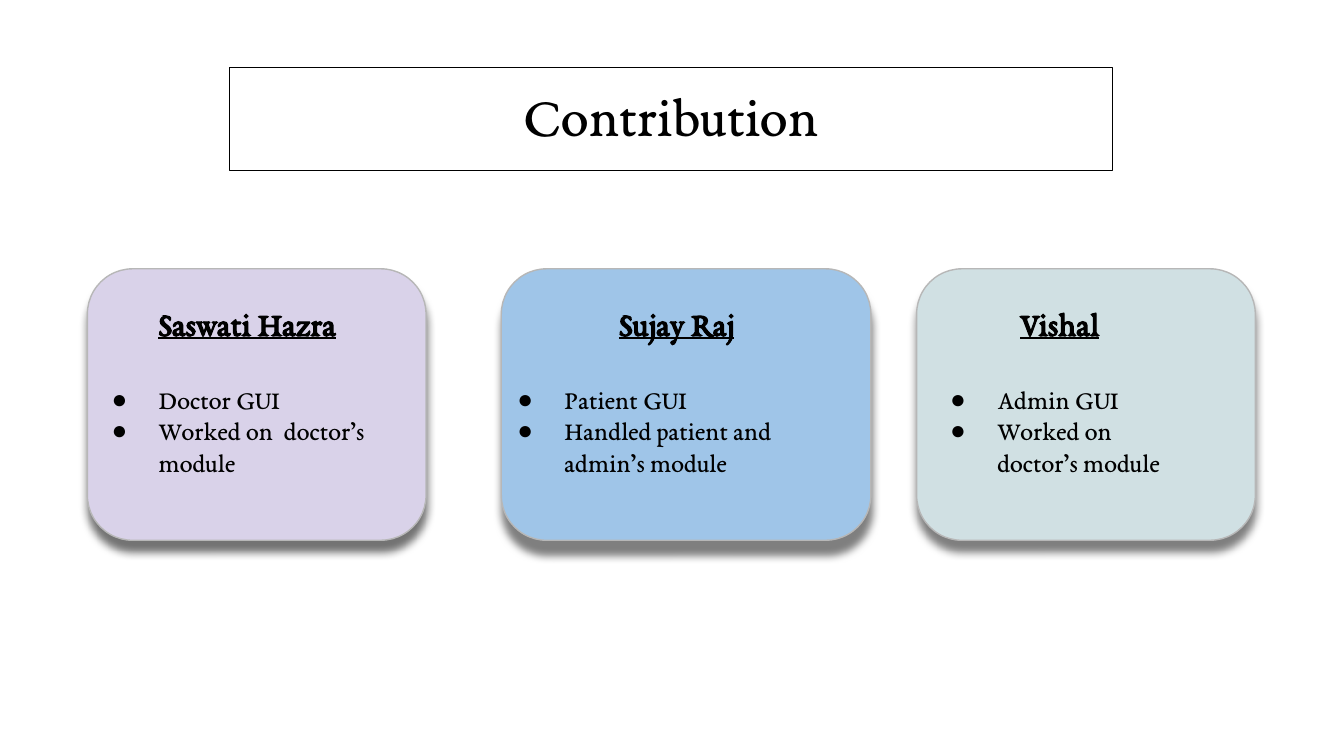
"""Build the contribution slide with one card per team member."""
from dataclasses import dataclass

from lxml.etree import SubElement
from pptx import Presentation
from pptx.dml.color import RGBColor
from pptx.enum.shapes import MSO_SHAPE
from pptx.enum.text import MSO_ANCHOR, MSO_AUTO_SIZE, PP_ALIGN
from pptx.oxml.ns import qn
from pptx.shapes.autoshape import Shape
from pptx.slide import Slide
from pptx.text.text import _Paragraph
from pptx.util import Inches, Pt

COLORS = {
    "ink": "000000",
    "border": "B7B7B7",
    "lilac": "D9D2E9",
    "blue": "9FC5E8",
    "mint": "D0E0E3",
}
FONT = "EB Garamond"
BULLET_FONT = "Arial"
CARD_TOP, CARD_HEIGHT = 2, 2.02
TEXT_TOP, TEXT_HEIGHT = 2.15, 1.61


@dataclass
class Member:
    name: str
    tasks: list[str]
    color: str
    card_left: float
    card_width: float
    text_left: float
    text_width: float
    shadow_alpha: int = 50
    shadow_distance: float = 6


MEMBERS = [
    Member("Saswati Hazra", ["Doctor GUI", "Worked on  doctor’s module"],
           "lilac", 0.65, 2.52, 0.58, 2.52, shadow_alpha=54),
    Member("Sujay Raj", ["Patient GUI", "Handled patient and admin’s module"],
           "blue", 3.73, 2.75, 3.6, 2.87, shadow_distance=7.5),
    Member("Vishal", ["Admin GUI", "Worked on doctor’s module"],
           "mint", 6.82, 2.52, 6.82, 2.13),
]


def rgb(name: str) -> RGBColor:
    return RGBColor.from_string(COLORS[name])


def place(shape: Shape, left: float, top: float, width: float, height: float) -> None:
    shape.left, shape.top = Inches(left), Inches(top)
    shape.width, shape.height = Inches(width), Inches(height)


def format_frame(shape: Shape) -> None:
    frame = shape.text_frame
    frame.word_wrap = True
    frame.auto_size = MSO_AUTO_SIZE.NONE
    frame.vertical_anchor = MSO_ANCHOR.TOP
    frame.margin_left = frame.margin_right = Inches(0.1)
    frame.margin_top = frame.margin_bottom = Inches(0.1)


def format_paragraph(paragraph: _Paragraph, size: float, alignment: PP_ALIGN,
                     heading: bool = False) -> None:
    paragraph.alignment = alignment
    paragraph.space_before = Pt(0)
    for run in paragraph.runs:
        run.font.name = FONT
        run.font.size = Pt(size)
        run.font.bold = run.font.underline = heading
        run.font.color.rgb = rgb("ink")


def set_bullet(paragraph: _Paragraph, character: str = "") -> None:
    properties = paragraph._p.get_or_add_pPr()
    indented = bool(character)
    properties.set("marL", str(Inches(0.5) if indented else 0))
    properties.set("indent", str(Inches(-0.35) if indented else 0))
    if indented:
        color = SubElement(properties, qn("a:buClr"))
        SubElement(color, qn("a:srgbClr"), val=COLORS["ink"])
        SubElement(properties, qn("a:buFont"), typeface=BULLET_FONT)
        SubElement(properties, qn("a:buChar"), char=character)
    else:
        SubElement(properties, qn("a:buNone"))


def add_shadow(shape: Shape, alpha: int, distance: float) -> None:
    shape.shadow.inherit = False
    effects = shape._element.spPr.find(qn("a:effectLst"))
    shadow = SubElement(effects, qn("a:outerShdw"), blurRad=str(Pt(4.5)),
                        dist=str(Pt(distance)), dir="5400000",
                        algn="bl", rotWithShape="0")
    color = SubElement(shadow, qn("a:srgbClr"), val=COLORS["ink"])
    SubElement(color, qn("a:alpha"), val=str(alpha * 1000))


def format_title(title: Shape) -> None:
    place(title, 1.71, 0.5, 6.57, 0.77)
    title.line.color.rgb = rgb("ink")
    title.line.width = Pt(0.75)
    title.text_frame.text = "Contribution"
    format_frame(title)
    format_paragraph(title.text_frame.paragraphs[0], 30, PP_ALIGN.CENTER)


def add_card(slide: Slide, member: Member) -> None:
    card = slide.shapes.add_shape(
        MSO_SHAPE.ROUNDED_RECTANGLE, Inches(member.card_left), Inches(CARD_TOP),
        Inches(member.card_width), Inches(CARD_HEIGHT))
    card.fill.solid()
    card.fill.fore_color.rgb = rgb(member.color)
    card.line.color.rgb = rgb("border")
    card.line.width = Pt(0.75)
    add_shadow(card, member.shadow_alpha, member.shadow_distance)


def fill_body(slide: Slide, body: Shape, member: Member) -> None:
    slide.shapes._spTree.append(body._element)
    place(body, member.text_left, TEXT_TOP, member.text_width, TEXT_HEIGHT)
    body.text_frame.text = "\n".join([member.name, *member.tasks])
    format_frame(body)
    heading, *tasks = body.text_frame.paragraphs
    format_paragraph(heading, 18, PP_ALIGN.CENTER, heading=True)
    heading.space_after = Pt(21.8)
    set_bullet(heading)
    for task in tasks:
        format_paragraph(task, 14, PP_ALIGN.LEFT)
        set_bullet(task, "●")


def main() -> None:
    presentation = Presentation()
    presentation.slide_width = Inches(10)
    presentation.slide_height = Inches(10 * 9 / 16)
    comparison_layout = presentation.slide_layouts[4]
    slide = presentation.slides.add_slide(comparison_layout)
    title, *bodies = slide.placeholders
    format_title(title)
    for member, body in zip(MEMBERS, bodies):
        add_card(slide, member)
        fill_body(slide, body, member)
    for spare in bodies[len(MEMBERS):]:
        slide.shapes._spTree.remove(spare._element)
    presentation.save("out.pptx")


if __name__ == "__main__":
    main()
